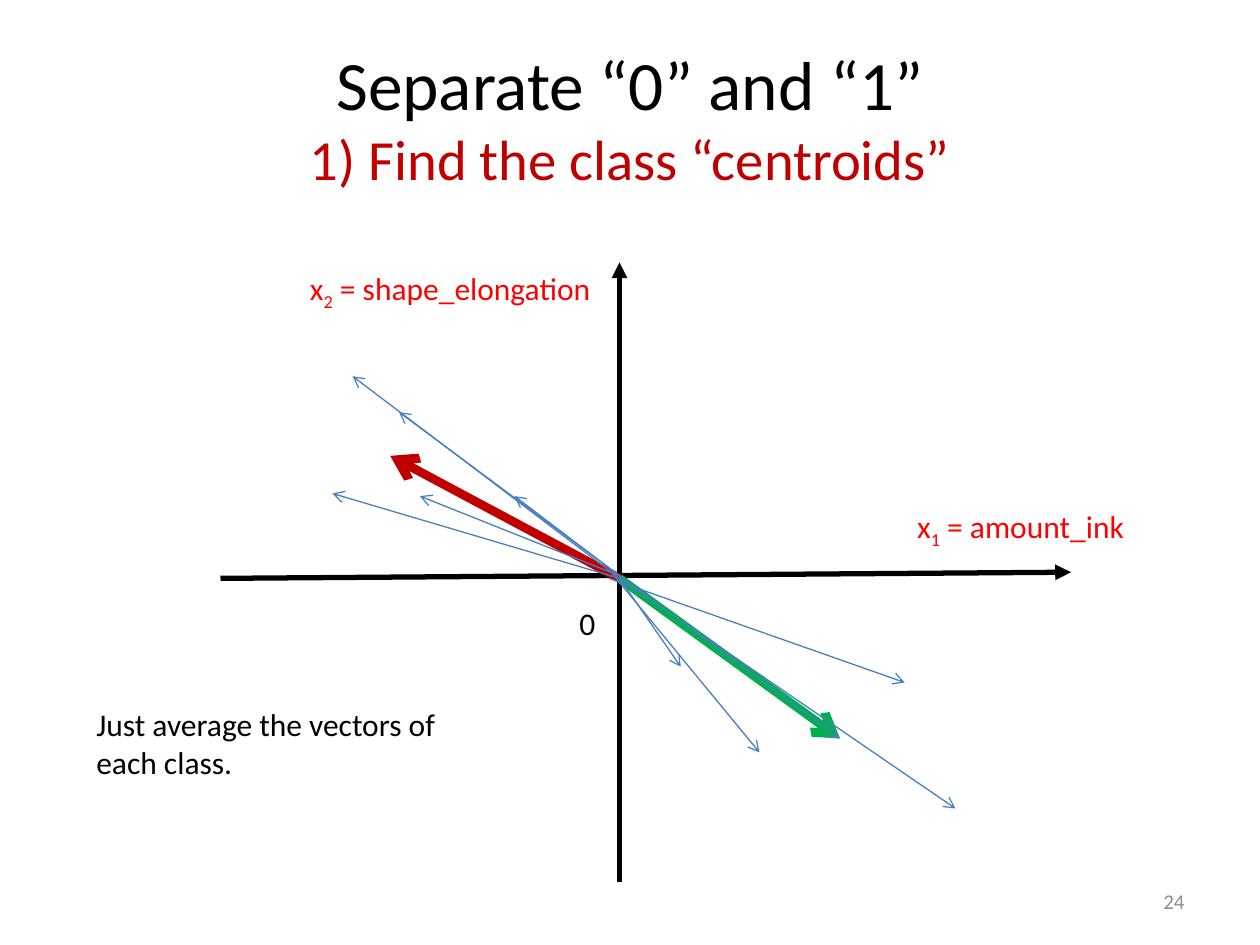
import pptx
import pptx.dml.color
import pptx.enum.shapes
import pptx.enum.text
import pptx.oxml
import pptx.oxml.ns
import pptx.util

Pt = pptx.util.Pt
ALIGN = pptx.enum.text.PP_ALIGN
ANCHOR = pptx.enum.text.MSO_ANCHOR
AUTO_SIZE = pptx.enum.text.MSO_AUTO_SIZE


def rgb(code):
    return pptx.dml.color.RGBColor.from_string(code)


def write(paragraph, text, size=18, color="000000", subscript=False):
    run = paragraph.add_run()
    run.text = text
    run.font.name = "Calibri"
    run.font.size = Pt(size)
    run.font.color.rgb = rgb(color)
    if subscript:
        run.font._element.set("baseline", "-25000")


deck = pptx.Presentation()
deck.slide_width, deck.slide_height = Pt(720), Pt(540)
slide = deck.slides.add_slide(deck.slide_layouts[5])

# Title with the step below it
title = slide.shapes.title
title.left, title.top, title.width, title.height = Pt(36), Pt(21.6), Pt(648), Pt(90)
title.text_frame.auto_size = AUTO_SIZE.NONE
title.text_frame.vertical_anchor = ANCHOR.MIDDLE
heading = title.text_frame.paragraphs[0]
heading.alignment = ALIGN.CENTER
write(heading, "Separate “0” and “1”", size=39.6)
heading.add_line_break()
write(heading, "1) Find the class “centroids”", size=32.4, color="C00000")

# Axes, class centroids and sample vectors: start, end, colour, width, head
origin = (354, 330.5)
above_origin = (354, 329)
axes = [((126, 330.5), (612, 327)), ((354, 504), (354, 150))]
centroids = [((223, 260.5), "C00000"), ((480, 422), "00B050")]
samples = [
    (origin, (389, 381)),
    ((348, 325.5), (434, 430)),
    (above_origin, (480, 422)),
    ((348, 330.5), (517, 390)),
    (origin, (546, 462)),
    (above_origin, (294, 283.5)),
    (above_origin, (240, 283.5)),
    (above_origin, (228, 235.5)),
    (origin, (201.5, 215)),
    (origin, (190, 282)),
]
arrows = [(start, end, "000000", 3, "triangle") for start, end in axes]
arrows += [(origin, end, color, 5, "arrow") for end, color in centroids]
arrows += [(start, end, "4B7EBC", 0.75, "arrow") for start, end in samples]

for start, end, color, width, head in arrows:
    arrow = slide.shapes.add_connector(
        pptx.enum.shapes.MSO_CONNECTOR.STRAIGHT, *map(Pt, start + end))
    arrow.line.color.rgb = rgb(color)
    arrow.line.width = Pt(width)
    tail = pptx.oxml.parse_xml(
        f'<a:tailEnd {pptx.oxml.ns.nsdecls("a")} type="{head}"/>')
    arrow.line._get_or_add_ln().append(tail)
    no_shadow = pptx.oxml.parse_xml(f'<a:effectLst {pptx.oxml.ns.nsdecls("a")}/>')
    arrow._element.spPr.append(no_shadow)

# Labels: left, top, width, height, wrap, runs as (text, subscript), format
red = {"color": "FF0000"}
labels = [
    (324, 341.5, 24, 29, False, [("0", False)], {}),
    (48, 399.5, 224, 51, True,
     [("Just average the vectors of each class.", False)], {}),
    (517, 286, 140, 29, False,
     [("x", False), ("1", True), (" = amount_ink", False)], red),
    (170, 150, 178, 29, False,
     [("x", False), ("2", True), (" = shape_elongation", False)], red),
]
for left, top, width, height, wrap, parts, style in labels:
    label = slide.shapes.add_textbox(Pt(left), Pt(top), Pt(width), Pt(height))
    label.text_frame.word_wrap = wrap
    label.text_frame.auto_size = AUTO_SIZE.SHAPE_TO_FIT_TEXT
    for text, subscript in parts:
        write(label.text_frame.paragraphs[0], text, subscript=subscript, **style)

# Page number
page = slide.shapes.add_textbox(Pt(516), Pt(500.5), Pt(168), Pt(29))
page.text_frame.word_wrap = True
page.text_frame.vertical_anchor = ANCHOR.MIDDLE
page.text_frame.paragraphs[0].alignment = ALIGN.RIGHT
write(page.text_frame.paragraphs[0], "24", size=12, color="8C8C8C")

deck.save("out.pptx")
